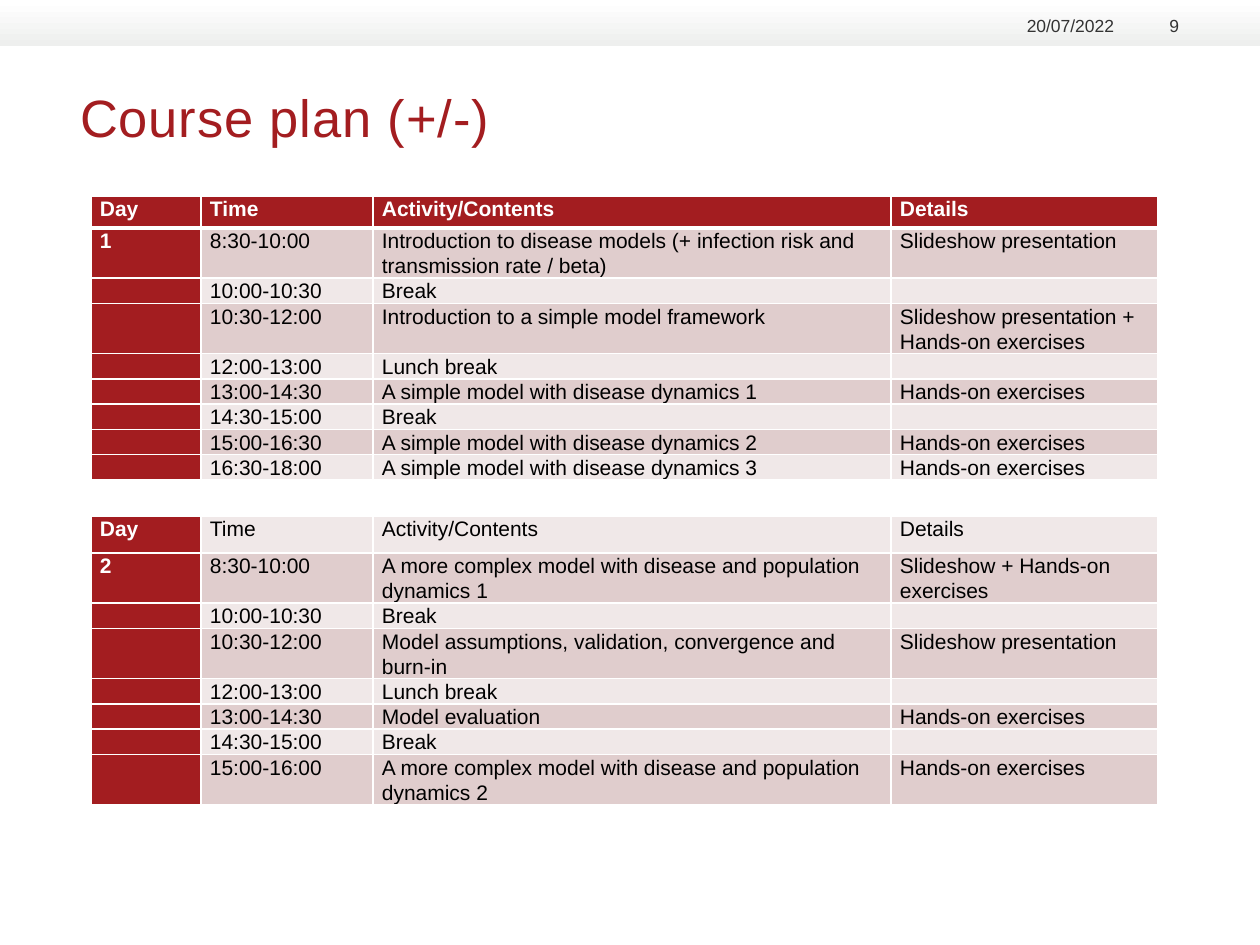
from lxml.etree import SubElement
from pptx import Presentation
from pptx.dml.color import RGBColor
from pptx.enum.shapes import MSO_SHAPE
from pptx.enum.text import MSO_ANCHOR, MSO_AUTO_SIZE, PP_ALIGN
from pptx.oxml.ns import qn
from pptx.util import Emu, Pt

PX = 914400 // 126
COLORS = {
    "red": "A31D20", "white": "FFFFFF", "black": "000000", "grey": "333333",
    "band_dark": "E0CDCD", "band_light": "F0E8E8", "strip_end": "EEEFEE",
}


def rgb(name):
    return RGBColor.from_string(COLORS[name])


def add_border(cell, side, points):
    line = SubElement(cell._tc.get_or_add_tcPr(), qn(f"a:ln{side}"), w=str(Pt(points)))
    fill = SubElement(line, qn("a:solidFill"))
    SubElement(fill, qn("a:srgbClr"), val=COLORS["white"])


prs = Presentation()
prs.slide_width, prs.slide_height = Emu(1260 * PX), Emu(945 * PX)
slide = prs.slides.add_slide(prs.slide_layouts[5])

# Header strip
strip = slide.shapes.add_shape(MSO_SHAPE.RECTANGLE, 0, 0, prs.slide_width, 46 * PX)
strip.shadow.inherit = False
strip.line.fill.background()
strip.fill.gradient()
strip.fill.gradient_angle = 270
for stop, name, position in zip(strip.fill.gradient_stops, ("white", "strip_end"), (0, 1)):
    stop.color.rgb = rgb(name)
    stop.position = position

# Title
title = slide.shapes.title
title.left, title.top, title.width, title.height = (n * PX for n in (80, 85, 1097, 120))
frame = title.text_frame
frame.margin_left = frame.margin_right = frame.margin_top = frame.margin_bottom = 0
frame.vertical_anchor = MSO_ANCHOR.TOP
frame.auto_size = MSO_AUTO_SIZE.NONE
frame.text = "Course plan (+/-)"
heading = frame.paragraphs[0]
heading.alignment = PP_ALIGN.LEFT
heading.font.name, heading.font.size = "Arial", Pt(30)
heading.font.color.rgb = rgb("red")
heading._p.pPr.find(qn("a:defRPr")).set("spc", "50")

# Date and slide number
for text, left, width in (("20/07/2022", 1002, 112), ("9", 1127, 52)):
    frame = slide.shapes.add_textbox(left * PX, 12 * PX, width * PX, 24 * PX).text_frame
    frame.margin_left = frame.margin_right = frame.margin_top = frame.margin_bottom = 0
    frame.word_wrap = True
    frame.vertical_anchor = MSO_ANCHOR.BOTTOM
    frame.text = text
    label = frame.paragraphs[0]
    label.alignment = PP_ALIGN.RIGHT
    label.font.name, label.font.size = "Arial", Pt(10)
    label.font.color.rgb = rgb("grey")

# Course plan: row height, then day, time, activity and details
HEADINGS = ("Day", "Time", "Activity/Contents", "Details")
HANDS_ON = "Hands-on exercises"
SLIDES = "Slideshow presentation"
SPACER = (36, "", "", "", "")
plan = [
    (32, *HEADINGS),
    (50, "1", "8:30-10:00",
     "Introduction to disease models (+ infection risk and transmission rate / beta)", SLIDES),
    (25, "", "10:00-10:30", "Break", ""),
    (50, "", "10:30-12:00", "Introduction to a simple model framework",
     f"{SLIDES} + {HANDS_ON}"),
    (25, "", "12:00-13:00", "Lunch break", ""),
    (25, "", "13:00-14:30", "A simple model with disease dynamics 1", HANDS_ON),
    (25, "", "14:30-15:00", "Break", ""),
    (25, "", "15:00-16:30", "A simple model with disease dynamics 2", HANDS_ON),
    (25, "", "16:30-18:00", "A simple model with disease dynamics 3", HANDS_ON),
    SPACER,
    (37, *HEADINGS),
    (50, "2", "8:30-10:00", "A more complex model with disease and population dynamics 1",
     f"Slideshow + {HANDS_ON}"),
    (25, "", "10:00-10:30", "Break", ""),
    (50, "", "10:30-12:00", "Model assumptions, validation, convergence and burn-in", SLIDES),
    (25, "", "12:00-13:00", "Lunch break", ""),
    (25, "", "13:00-14:30", "Model evaluation", HANDS_ON),
    (25, "", "14:30-15:00", "Break", ""),
    (50, "", "15:00-16:00", "A more complex model with disease and population dynamics 2",
     HANDS_ON),
]
column_widths = (110, 172, 518, 267)
schedule = slide.shapes.add_table(
    len(plan), len(column_widths), 91 * PX, 196 * PX,
    sum(column_widths) * PX, sum(row[0] for row in plan) * PX).table
schedule.first_col = True
schedule.horz_banding = False
for column, width in zip(schedule.columns, column_widths):
    column.width = Emu(width * PX)

for r, (height, *texts) in enumerate(plan):
    schedule.rows[r].height = Emu(height * PX)
    for c, text in enumerate(texts):
        cell = schedule.cell(r, c)
        strong = r == 0 or c == 0
        for side in "LRTB":
            under_header = (r, side) in ((0, "B"), (1, "T"))
            add_border(cell, side, 3 if under_header else 1)
        cell.fill.solid()
        if plan[r] is SPACER:
            cell.fill.fore_color.rgb = rgb("white")
        elif strong:
            cell.fill.fore_color.rgb = rgb("red")
        else:
            cell.fill.fore_color.rgb = rgb("band_dark" if r % 2 else "band_light")
        cell.margin_left = cell.margin_right = 9 * PX
        cell.margin_top = cell.margin_bottom = 0
        cell.text = text
        entry = cell.text_frame.paragraphs[0]
        entry.line_spacing = Pt(14.35)
        entry.font.name, entry.font.size = "Arial", Pt(12)
        entry.font.bold = strong
        entry.font.color.rgb = rgb("white" if strong else "black")
        if not text:
            # An empty cell takes its line height from the end mark
            SubElement(entry._p, qn("a:endParaRPr"), sz="1200")

prs.save("out.pptx")
